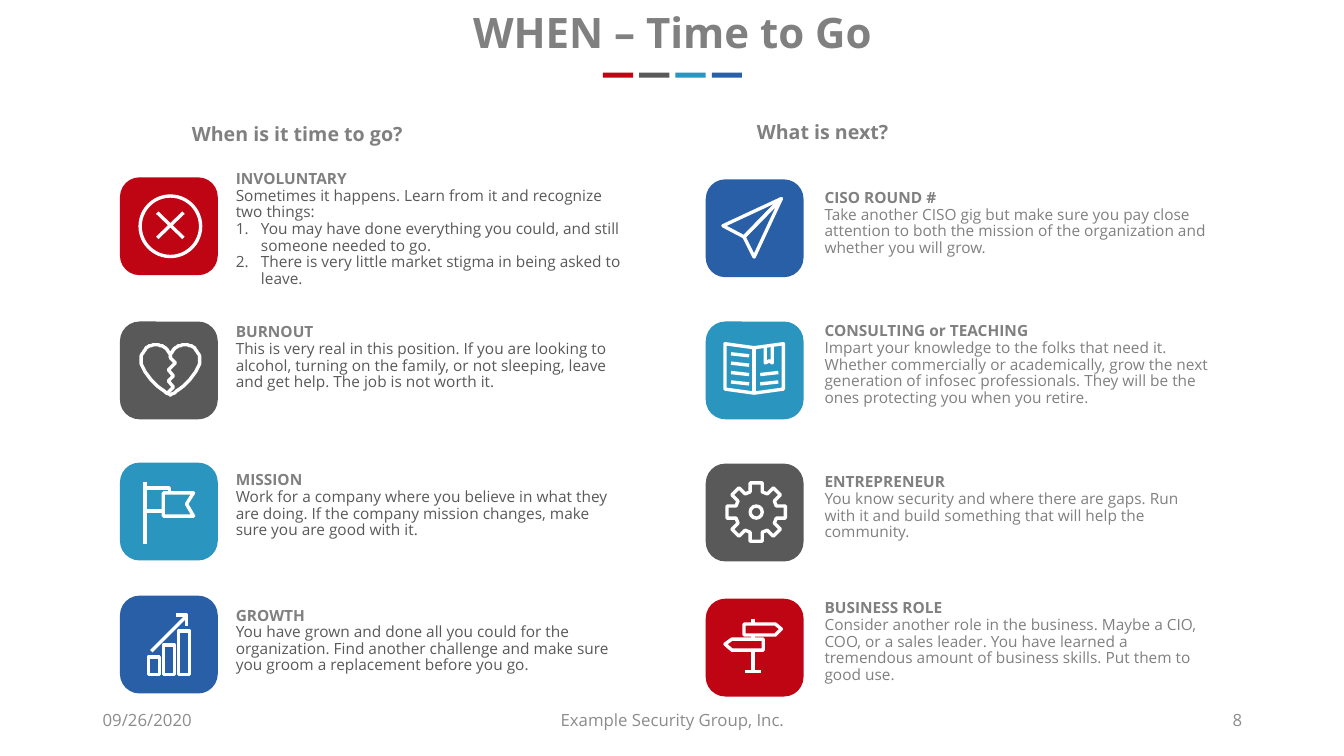
from lxml import etree
from pptx import Presentation
from pptx.dml.color import RGBColor
from pptx.enum.shapes import MSO_CONNECTOR, MSO_SHAPE
from pptx.enum.text import MSO_ANCHOR, PP_ALIGN
from pptx.oxml.ns import qn
from pptx.util import Inches, Pt

RED, DARK = RGBColor(0xBF, 0x04, 0x13), RGBColor(0x59, 0x59, 0x59)
CYAN, BLUE = RGBColor(0x2A, 0x95, 0xBF), RGBColor(0x29, 0x5F, 0xA6)
GRAY, PALE = RGBColor(0x80, 0x80, 0x80), RGBColor(0x8C, 0x8C, 0x8C)
WHITE = RGBColor(0xFF, 0xFF, 0xFF)
LEFT, CENTER, RIGHT = PP_ALIGN.LEFT, PP_ALIGN.CENTER, PP_ALIGN.RIGHT
TOP, MIDDLE = MSO_ANCHOR.TOP, MSO_ANCHOR.MIDDLE
RECT, TILE, OVAL = MSO_SHAPE.RECTANGLE, MSO_SHAPE.ROUNDED_RECTANGLE, MSO_SHAPE.OVAL
STRAIGHT = MSO_CONNECTOR.STRAIGHT
FONT = "Open Sans"
SIDE = 0.97
STROKE = Pt(2.4)
UNIT = 0.01  # icon points are in hundredths of an inch


def write(tf, text, size=11, color=GRAY, bold=False, align=LEFT, anchor=TOP,
          more=False, numbered=False):
    tf.word_wrap = True
    tf.vertical_anchor = anchor
    p = tf.add_paragraph() if more else tf.paragraphs[0]
    p.alignment = align
    p.line_spacing = 0.9
    r = p.add_run()
    r.text = text
    r.font.name, r.font.size, r.font.bold = FONT, Pt(size), bold
    r.font.color.rgb = color
    if numbered:
        pPr = p._p.get_or_add_pPr()
        pPr.set("marL", str(Inches(0.25)))
        pPr.set("indent", str(-Inches(0.25)))
        etree.SubElement(pPr, qn("a:buAutoNum"), type="arabicPeriod")


def textbox(slide, x, y, w, h, text, **fmt):
    tf = slide.shapes.add_textbox(Inches(x), Inches(y), Inches(w), Inches(h)).text_frame
    write(tf, text, **fmt)
    return tf


def block(slide, kind, x, y, w, h, color):
    sp = slide.shapes.add_shape(kind, Inches(x), Inches(y), Inches(w), Inches(h))
    sp.shadow.inherit = False
    sp.fill.solid()
    sp.fill.fore_color.rgb = color
    sp.line.fill.background()
    return sp


def outline(sp):
    sp.shadow.inherit = False
    sp.fill.background()
    sp.line.color.rgb = WHITE
    sp.line.width = STROKE


# Icon strokes, placed relative to the tile corner
def segment(slide, x, y, x1, y1, x2, y2):
    line = slide.shapes.add_connector(
        STRAIGHT, Inches(x + x1 * UNIT), Inches(y + y1 * UNIT),
        Inches(x + x2 * UNIT), Inches(y + y2 * UNIT))
    line.line.color.rgb = WHITE
    line.line.width = STROKE
    etree.SubElement(line._element.spPr, qn("a:effectLst"))


def stroke(slide, x, y, points, close=True):
    fb = slide.shapes.build_freeform(*points[0], scale=Inches(UNIT))
    fb.add_line_segments(points[1:], close=close)
    outline(fb.convert_to_shape(Inches(x), Inches(y)))


def ring(slide, x, y, cx, cy, radius):
    d = Inches(2 * radius * UNIT)
    outline(slide.shapes.add_shape(OVAL, Inches(x + (cx - radius) * UNIT),
                                   Inches(y + (cy - radius) * UNIT), d, d))


def curve(a, b, c, d, steps=12):
    ts = [i / steps for i in range(steps)]
    return [tuple((1 - t) ** 3 * a[k] + 3 * t * (1 - t) ** 2 * b[k]
                  + 3 * t * t * (1 - t) * c[k] + t ** 3 * d[k] for k in (0, 1)) for t in ts]


def cross_icon(slide, x, y):
    ring(slide, x, y, 50, 48.5, 30)
    segment(slide, x, y, 37, 35, 63, 60)
    segment(slide, x, y, 37, 60, 63, 35)


def heart_icon(slide, x, y):
    half = (curve((50, 73), (46, 71), (21, 55), (21, 38))
            + curve((21, 38), (21, 30), (27, 23), (35, 23))
            + curve((35, 23), (42, 23), (49, 27), (50, 35)) + [(50, 35)])
    stroke(slide, x, y, half + [(100 - px, py) for px, py in half[-2:0:-1]])
    stroke(slide, x, y, [(50, 34), (50, 36), (55, 41), (48, 48), (53, 54),
                         (48, 59), (53, 65), (47, 71)], close=False)


def flag_icon(slide, x, y):
    segment(slide, x, y, 25, 19, 25, 81)
    stroke(slide, x, y, [(43, 48), (25, 48), (25, 25), (49, 25), (49, 30)], close=False)
    stroke(slide, x, y, [(43, 30), (73, 30), (66, 41), (73, 53), (43, 53)])


def growth_icon(slide, x, y):
    for left, top in ((28, 61), (43, 49), (58, 35)):
        stroke(slide, x, y, [(left, top), (left + 11, top), (left + 11, 78), (left, 78)])
    segment(slide, x, y, 31, 55, 66, 20)
    stroke(slide, x, y, [(56, 19), (66, 19), (66, 30)], close=False)


def plane_icon(slide, x, y):
    for wing in ((17, 46), (48, 77)):
        stroke(slide, x, y, [wing, (37.5, 57), (75, 19)])


def book_icon(slide, x, y):
    stroke(slide, x, y, [(19, 67), (48, 71), (77, 67), (77, 22), (48, 26), (19, 22)])
    segment(slide, x, y, 48, 26, 48, 71)
    stroke(slide, x, y, [(59, 24), (59, 41), (63, 39), (66, 41), (66, 23)], close=False)
    for i in range(4):
        row = 32 + 9.3 * i
        segment(slide, x, y, 25, row, 43, row + 2)
        if i > 1:
            segment(slide, x, y, 54, row + 2, 72, row)


def gear_icon(slide, x, y):
    quarter = [(-6, -29), (6, -29), (6, -20.5), (11, -18.5), (17, -24), (24, -17),
               (18.5, -11), (20.5, -6)]
    teeth = []
    for _ in range(4):
        teeth += quarter
        quarter = [(-py, px) for px, py in quarter]
    stroke(slide, x, y, [(50 + px, 48 + py) for px, py in teeth])
    ring(slide, x, y, 50, 48, 6)


def signpost_icon(slide, x, y):
    stroke(slide, x, y, [(38, 25), (69, 25), (75, 30), (69, 36), (38, 36)])
    stroke(slide, x, y, [(57, 40), (26, 40), (19, 45), (26, 51), (57, 51)])
    for top, bottom in ((20, 24), (36, 40), (51, 72)):
        segment(slide, x, y, 47, top, 47, bottom)
    segment(slide, x, y, 39, 72, 55, 72)


def header(slide, x, y, w):
    title = slide.shapes.title
    title.left, title.top, title.width, title.height = map(Inches, (x, y, w, 0.61))
    write(title.text_frame, "WHEN – Time to Go", size=30, bold=True, align=CENTER)
    for i, color in enumerate((RED, DARK, CYAN, BLUE)):
        block(slide, RECT, x + 3.36 + 0.36 * i, y + 0.65, 0.3, 0.05, color)


def column(slide, x, text_x, heading, heading_at, body_color, items):
    textbox(slide, *heading_at, 2.9, 0.34, heading, size=14, bold=True, align=CENTER)
    for y, text_y, color, icon, name, body, *points in items:
        tile = block(slide, TILE, x, y, SIDE, SIDE, color)
        tile.adjustments[0] = 0.2
        icon(slide, x, y)
        tf = textbox(slide, text_x, text_y, 4.04, 1.03, name, bold=True)
        write(tf, body, color=body_color, more=True)
        for point in points:
            write(tf, point, color=body_color, more=True, numbered=True)


def footer(slide, y):
    for x, w, text, align in ((0.92, 3, "09/26/2020", LEFT),
                              (4.42, 4.5, "Example Security Group, Inc.", CENTER),
                              (9.42, 3, "8", RIGHT)):
        textbox(slide, x, y, w, 0.4, text, size=12, color=PALE, align=align, anchor=MIDDLE)


REASONS = [
    (1.76, 1.65, RED, cross_icon, "INVOLUNTARY",
     "Sometimes it happens. Learn from it and recognize two things:",
     "You may have done everything you could, and still someone needed to go.",
     "There is very little market stigma in being asked to leave."),
    (3.19, 3.17, DARK, heart_icon, "BURNOUT",
     "This is very real in this position. If you are looking to alcohol, turning on the "
     "family, or not sleeping, leave and get help. The job is not worth it."),
    (4.59, 4.64, CYAN, flag_icon, "MISSION",
     "Work for a company where you believe in what they are doing. If the company mission "
     "changes, make sure you are good with it."),
    (5.91, 5.98, BLUE, growth_icon, "GROWTH",
     "You have grown and done all you could for the organization. Find another challenge "
     "and make sure you groom a replacement before you go."),
]
NEXT_STEPS = [
    (1.78, 1.84, BLUE, plane_icon, "CISO ROUND #",
     "Take another CISO gig but make sure you pay close attention to both the mission of "
     "the organization and whether you will grow."),
    (3.19, 3.16, CYAN, book_icon, "CONSULTING or TEACHING",
     "Impart your knowledge to the folks that need it. Whether commercially or "
     "academically, grow the next generation of infosec professionals. They will be the "
     "ones protecting you when you retire."),
    (4.6, 4.66, DARK, gear_icon, "ENTREPRENEUR",
     "You know security and where there are gaps. Run with it and build something that "
     "will help the community."),
    (5.94, 5.91, RED, signpost_icon, "BUSINESS ROLE",
     "Consider another role in the business. Maybe a CIO, COO, or a sales leader. You have "
     "learned a tremendous amount of business skills. Put them to good use."),
]

prs = Presentation()
prs.slide_width, prs.slide_height = Inches(13.33), Inches(7.5)
slide = prs.slides.add_slide(prs.slide_layouts[5])
header(slide, 2.62, 0.07, 8.1)
column(slide, 1.19, 2.24, "When is it time to go?", (1.5, 1.19), DARK, REASONS)
column(slide, 7, 8.08, "What is next?", (6.71, 1.17), GRAY, NEXT_STEPS)
footer(slide, 6.95)
prs.save("out.pptx")
